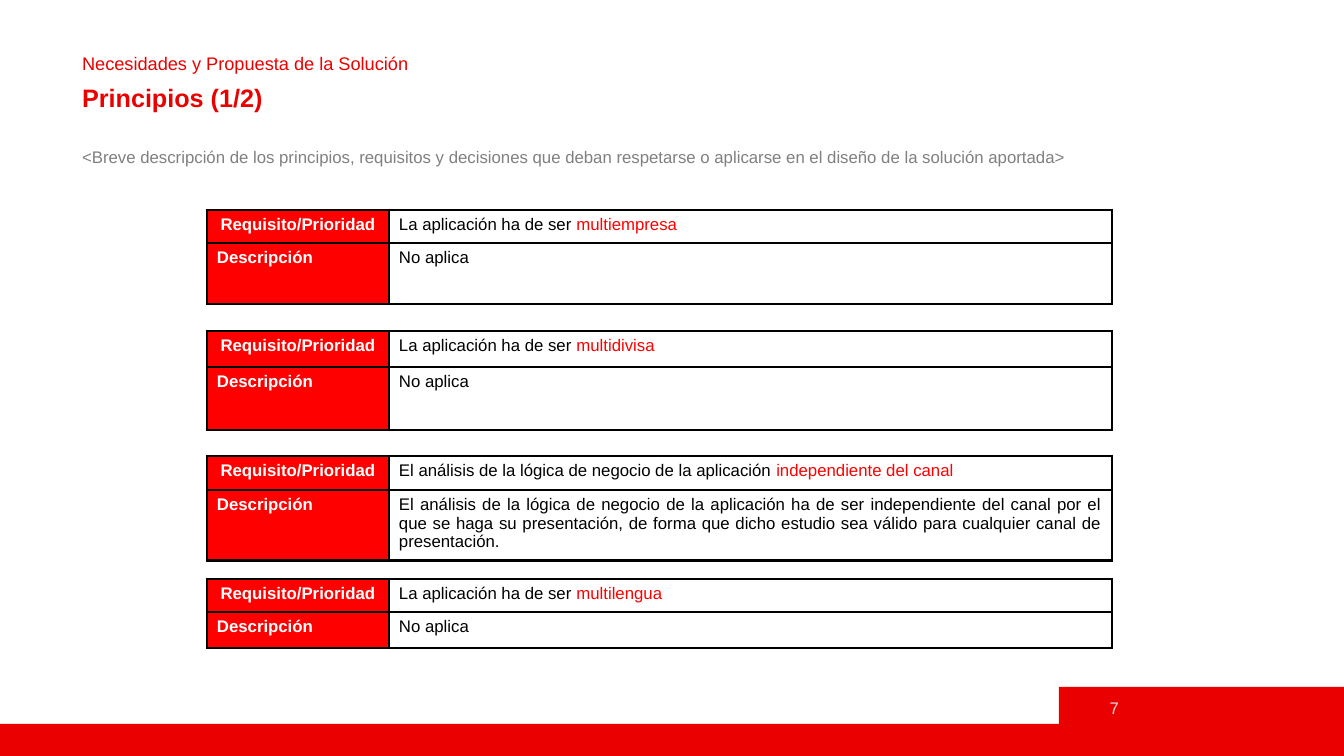
from lxml.etree import SubElement
from pptx import Presentation
from pptx.dml.color import RGBColor
from pptx.enum.shapes import MSO_SHAPE
from pptx.enum.text import MSO_ANCHOR, MSO_AUTO_SIZE, PP_ALIGN
from pptx.oxml import parse_xml
from pptx.oxml.ns import nsdecls, qn
from pptx.util import Pt

PX = 914400 / 100.8
COLORS = {
    "brand": "EB0000",
    "red": "FF0000",
    "white": "FFFFFF",
    "black": "000000",
    "gray": "808080",
    "number": "D9D9D9",
}


def px(*lengths):
    return [round(length * PX) for length in lengths]


def write(paragraph, text, color="black", size=12, bold=False, align=PP_ALIGN.LEFT, spacing=1.0, before=0):
    paragraph.alignment = align
    paragraph.line_spacing = spacing
    paragraph.space_before = Pt(before)
    run = paragraph.add_run()
    run.text = text
    run.font.name = "Arial"
    run.font.size = Pt(size)
    run.font.bold = bold
    run.font.color.rgb = RGBColor.from_string(COLORS[color])


presentation = Presentation()
presentation.slide_width, presentation.slide_height = px(1344, 756)
slide = presentation.slides.add_slide(presentation.slide_layouts[1])

for band in [(0, 724, 1344, 32), (1059, 687, 285, 38)]:
    shape = slide.shapes.add_shape(MSO_SHAPE.RECTANGLE, *px(*band))
    shape.shadow.inherit = False
    shape.fill.solid()
    shape.fill.fore_color.rgb = RGBColor.from_string(COLORS["brand"])
    shape.line.fill.background()

page_number = slide.shapes.add_textbox(*px(1059, 688, 70, 40))
page_number.text_frame.word_wrap = True
page_number.text_frame.vertical_anchor = MSO_ANCHOR.MIDDLE
write(page_number.text_frame.paragraphs[0], "7", color="number", align=PP_ALIGN.RIGHT)

title, body = slide.shapes.title, slide.placeholders[1]
for placeholder, top, height in [(title, 50, 66), (body, 140, 37)]:
    placeholder.left, placeholder.top, placeholder.width, placeholder.height = px(72, top, 1194, height)
    placeholder.text_frame.auto_size = MSO_AUTO_SIZE.NONE
    placeholder.text_frame.vertical_anchor = MSO_ANCHOR.TOP

write(title.text_frame.paragraphs[0], "Necesidades y Propuesta de la Solución",
      color="brand", size=13, spacing=0.9)
write(title.text_frame.add_paragraph(), "Principios (1/2)",
      color="brand", size=18, bold=True, spacing=0.9, before=8)

description = body.text_frame.paragraphs[0]
properties = description._p.get_or_add_pPr()
properties.set("marL", "0")
properties.set("indent", "0")
SubElement(properties, qn("a:buNone"))
write(description,
      "<Breve descripción de los principios, requisitos y decisiones que deban respetarse "
      "o aplicarse en el diseño de la solución aportada>",
      color="gray", align=PP_ALIGN.JUSTIFY, spacing=1.1)

requirements = [
    (210, (33, 61), "La aplicación ha de ser ", "multiempresa", "No aplica"),
    (331, (36, 63), "La aplicación ha de ser ", "multidivisa", "No aplica"),
    (456, (34, 67), "El análisis de la lógica de negocio de la aplicación ", "independiente del canal",
     "El análisis de la lógica de negocio de la aplicación ha de ser independiente del canal "
     "por el que se haga su presentación, de forma que dicho estudio sea válido para "
     "cualquier canal de presentación."),
    (579, (33, 36), "La aplicación ha de ser ", "multilengua", "No aplica"),
]

for top, heights, requirement, keyword, detail in requirements:
    frame = slide.shapes.add_table(2, 2, *px(207, top, 905, sum(heights)))
    table = frame.table
    table.first_row = False
    table.horz_banding = False
    for column, width in zip(table.columns, px(182, 723)):
        column.width = width
    for row, height in zip(table.rows, px(*heights)):
        row.height = height

    write(table.cell(0, 0).text_frame.paragraphs[0], "Requisito/Prioridad",
          color="white", bold=True, align=PP_ALIGN.CENTER)
    write(table.cell(1, 0).text_frame.paragraphs[0], "Descripción", color="white", bold=True)
    requirement_paragraph = table.cell(0, 1).text_frame.paragraphs[0]
    write(requirement_paragraph, requirement, align=PP_ALIGN.JUSTIFY)
    write(requirement_paragraph, keyword, color="red", align=PP_ALIGN.JUSTIFY)
    write(table.cell(1, 1).text_frame.paragraphs[0], detail, align=PP_ALIGN.JUSTIFY)

    for row_index in range(2):
        for column_index, fill in enumerate(["red", "white"]):
            cell = table.cell(row_index, column_index)
            cell.margin_left, cell.margin_top, cell.margin_right, cell.margin_bottom = px(10, 5, 10, 5)
            cell.fill.solid()
            cell.fill.fore_color.rgb = RGBColor.from_string(COLORS[fill])
            inner_side = "B" if row_index == 0 else "T"
            for position, side in enumerate("LRTB"):
                width = Pt(1 if side == inner_side else 2.25)
                border = parse_xml(
                    f'<a:ln{side} {nsdecls("a")} w="{width}"><a:solidFill>'
                    f'<a:srgbClr val="{COLORS["black"]}"/></a:solidFill></a:ln{side}>'
                )
                cell._tc.get_or_add_tcPr().insert(position, border)

presentation.save("out.pptx")
